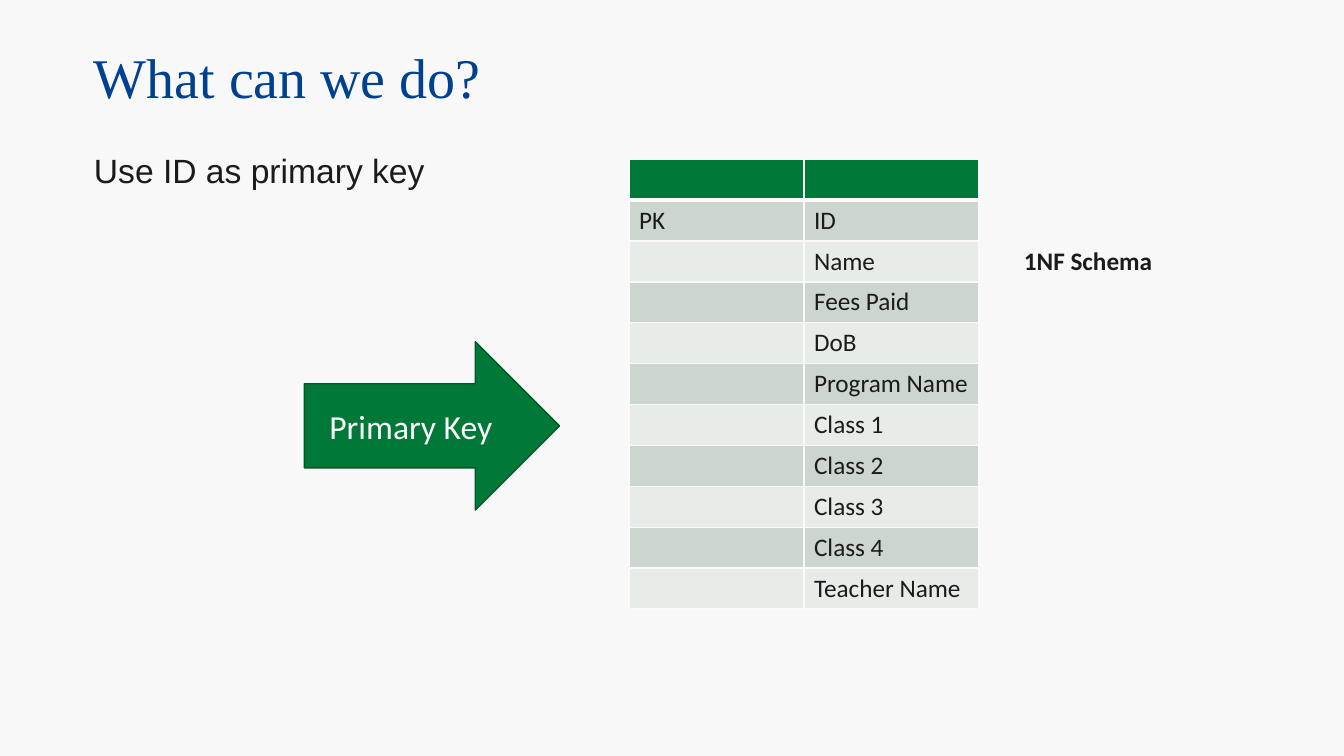
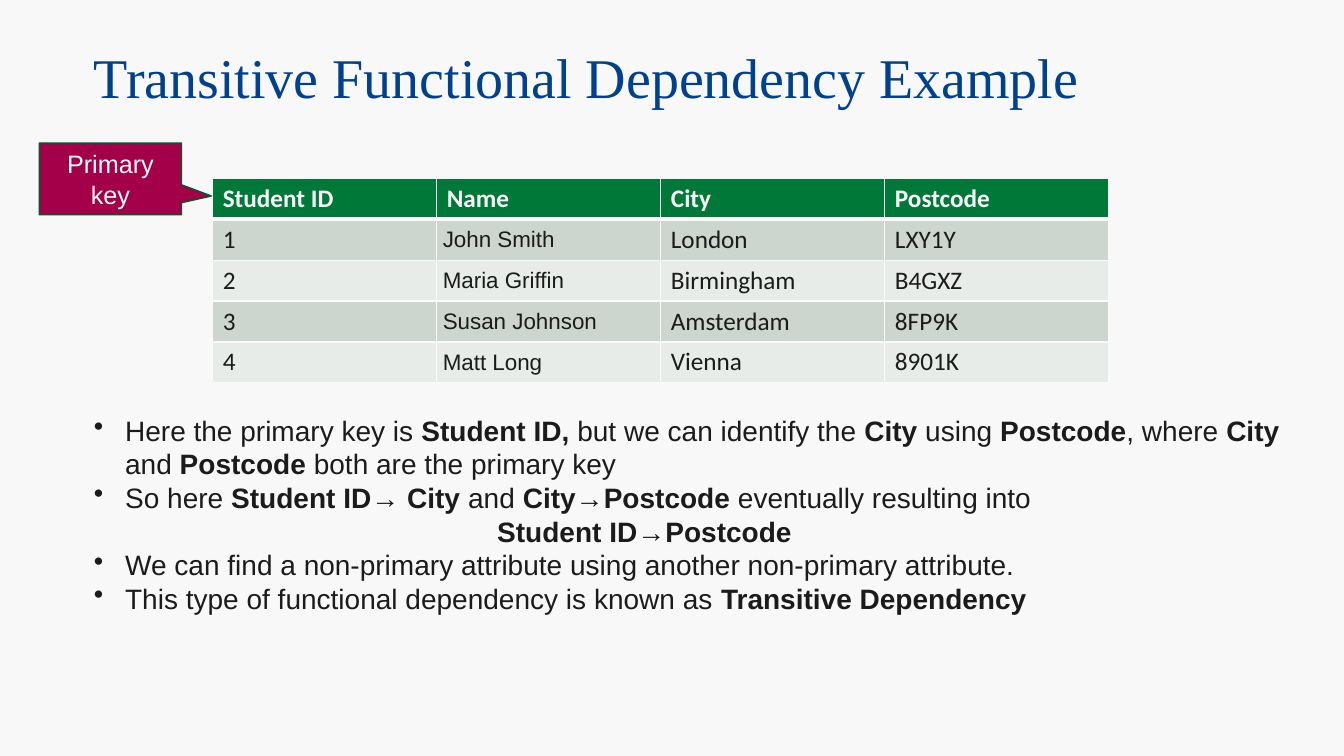
"""Build two slides on primary keys and transitive functional dependency."""
from lxml.etree import SubElement
from pptx import Presentation
from pptx.dml.color import RGBColor
from pptx.enum.shapes import MSO_SHAPE
from pptx.enum.text import MSO_ANCHOR, PP_ALIGN
from pptx.oxml.ns import qn
from pptx.util import Inches, Pt

PAPER = RGBColor(0xF8, 0xF8, 0xF8)
WHITE = RGBColor(0xFA, 0xFA, 0xFA)
INK = RGBColor(0x1B, 0x1B, 0x1B)
BLUE = RGBColor(0x00, 0x41, 0x8F)
GREEN = RGBColor(0x00, 0x78, 0x38)
DARK_GREEN = RGBColor(0x00, 0x59, 0x29)
CRIMSON = RGBColor(0xA4, 0x00, 0x49)
BANDS = [RGBColor(0xE7, 0xEC, 0xE8), RGBColor(0xCC, 0xD6, 0xCE)]

TITLE = {"name": "Times New Roman", "size": Pt(40)}
BODY = {"name": "Arial", "size": Pt(24)}
NOTES = {"name": "Arial", "size": Pt(20)}
LABEL = {"name": "Arial", "size": Pt(18)}
STUDENT = {"name": "Arial", "size": Pt(16)}
CELL = {"name": "Calibri", "size": Pt(18)}
ARROW = {"name": "Calibri", "size": Pt(24)}

TIGHT = {"line_spacing": 0.9}
CENTRED = {"alignment": PP_ALIGN.CENTER}
STUDENT_MARGINS = dict.fromkeys(
    ["margin_left", "margin_top", "margin_right", "margin_bottom"], Inches(0.06))

deck = Presentation()
deck.slide_width, deck.slide_height = Inches(13.33), Inches(7.5)
COL, ROW = deck.slide_width / 100, deck.slide_height / 100
TABLE_ROW = 5.41
background = deck.slide_master.background.fill
background.solid()
background.fore_color.rgb = PAPER


def area(left, top, width, height):
    """Turn percentages of the slide into a position and size."""
    return [int(left * COL), int(top * ROW), int(width * COL), int(height * ROW)]


def write(frame, lines, font, color, paragraph_format={}):
    """Fill a text frame; parts between asterisks are bold."""
    frame.word_wrap = True
    for number, line in enumerate(lines):
        paragraph = frame.add_paragraph() if number else frame.paragraphs[0]
        for key, value in paragraph_format.items():
            setattr(paragraph, key, value)
        for part, words in enumerate(line.split("*")):
            if words:
                run = paragraph.add_run()
                run.text = words
                run.font.bold = part % 2 == 1
                run.font.color.rgb = color
                for key, value in font.items():
                    setattr(run.font, key, value)


schema_rows = [["", ""], ["PK", "ID"]] + [["", attribute] for attribute in [
    "Name", "Fees Paid", "DoB", "Program Name", "Class 1", "Class 2",
    "Class 3", "Class 4", "Teacher Name"]]
student_rows = [
    ["*Student ID*", "*Name*", "*City*", "*Postcode*"],
    ["1", "John Smith", "London", "LXY1Y"],
    ["2", "Maria Griffin", "Birmingham", "B4GXZ"],
    ["3", "Susan Johnson", "Amsterdam", "8FP9K"],
    ["4", "Matt Long", "Vienna", "8901K"],
]
notes = [
    "Here the primary key is *Student ID,* but we can identify the *City* using "
    "*Postcode*, where *City* and *Postcode* both are the primary key",
    "So here *Student ID→ City* and *City→Postcode* eventually resulting into",
    "*Student ID→Postcode*",
    "We can find a non-primary attribute using another non-primary attribute.",
    "This type of functional dependency is known as *Transitive Dependency*",
]
pages = [
    {"title": "What can we do?",
     "table": (46.8, 21.07, 26.04, schema_rows),
     "texts": [((6.25, 19.73, 39, 8), ["Use ID as primary key"], BODY, TIGHT),
               ((75.45, 31.73, 22, 5.33), ["*1NF Schema*"], CELL, {})],
     "pointer": (MSO_SHAPE.RIGHT_ARROW, (22.65, 45.2, 18.98, 22.27), [],
                 GREEN, "Primary Key", ARROW)},
    {"title": "Transitive Functional Dependency Example",
     "table": (15.83, 23.6, 66.68, student_rows),
     "texts": [((6.25, 54, 91.28, 32.8), notes, NOTES, {})],
     "pointer": (MSO_SHAPE.RECTANGULAR_CALLOUT, (2.93, 18.93, 10.58, 9.47),
                 [0.71, 0.24], CRIMSON, "Primary key", LABEL)},
]

for page in pages:
    slide = deck.slides.add_slide(deck.slide_layouts[6])
    heading = slide.shapes.add_textbox(*area(6.25, 6.4, 89.1, 8.4)).text_frame
    heading.vertical_anchor = MSO_ANCHOR.MIDDLE
    write(heading, [page["title"]], TITLE, BLUE, TIGHT)

    left, top, width, records = page["table"]
    grid = slide.shapes.add_table(
        len(records), len(records[0]),
        *area(left, top, width, TABLE_ROW * len(records))).table
    for r, record in enumerate(records):
        for c, entry in enumerate(record):
            cell = grid.cell(r, c)
            edges = {"lnL": 1, "lnR": 1, "lnT": 3 if r == 1 else 1,
                     "lnB": 1 if r else 3}
            for edge, points in edges.items():
                line = SubElement(cell._tc.get_or_add_tcPr(), qn(f"a:{edge}"),
                                  w=str(Pt(points)))
                SubElement(SubElement(line, qn("a:solidFill")), qn("a:srgbClr"),
                           val=str(WHITE))
            cell.fill.solid()
            cell.fill.fore_color.rgb = BANDS[r % 2] if r else GREEN
            is_student = records is student_rows and r > 0 and c == 1
            if is_student:
                cell.vertical_anchor = MSO_ANCHOR.MIDDLE
                for key, value in STUDENT_MARGINS.items():
                    setattr(cell, key, value)
            write(cell.text_frame, [entry], STUDENT if is_student else CELL,
                  INK if r else WHITE)

    for place, lines, font, paragraph_format in page["texts"]:
        passage = slide.shapes.add_textbox(*area(*place)).text_frame
        write(passage, lines, font, INK, paragraph_format)
        if lines is notes:
            for number, paragraph in enumerate(passage.paragraphs):
                properties = paragraph._p.get_or_add_pPr()
                if number == 2:
                    properties.set("marL", str(Inches(4)))
                else:
                    properties.set("marL", str(Inches(0.31)))
                    properties.set("indent", str(-Inches(0.31)))
                    SubElement(properties, qn("a:buChar"), char="•")

    preset, place, adjustments, color, label, font = page["pointer"]
    pointer = slide.shapes.add_shape(preset, *area(*place))
    for number, value in enumerate(adjustments):
        pointer.adjustments[number] = value
    pointer.shadow.inherit = False
    pointer.fill.solid()
    pointer.fill.fore_color.rgb = color
    pointer.line.color.rgb = DARK_GREEN
    pointer.line.width = Pt(1)
    pointer.text_frame.vertical_anchor = MSO_ANCHOR.MIDDLE
    write(pointer.text_frame, [label], font, WHITE, CENTRED)

deck.save("out.pptx")
